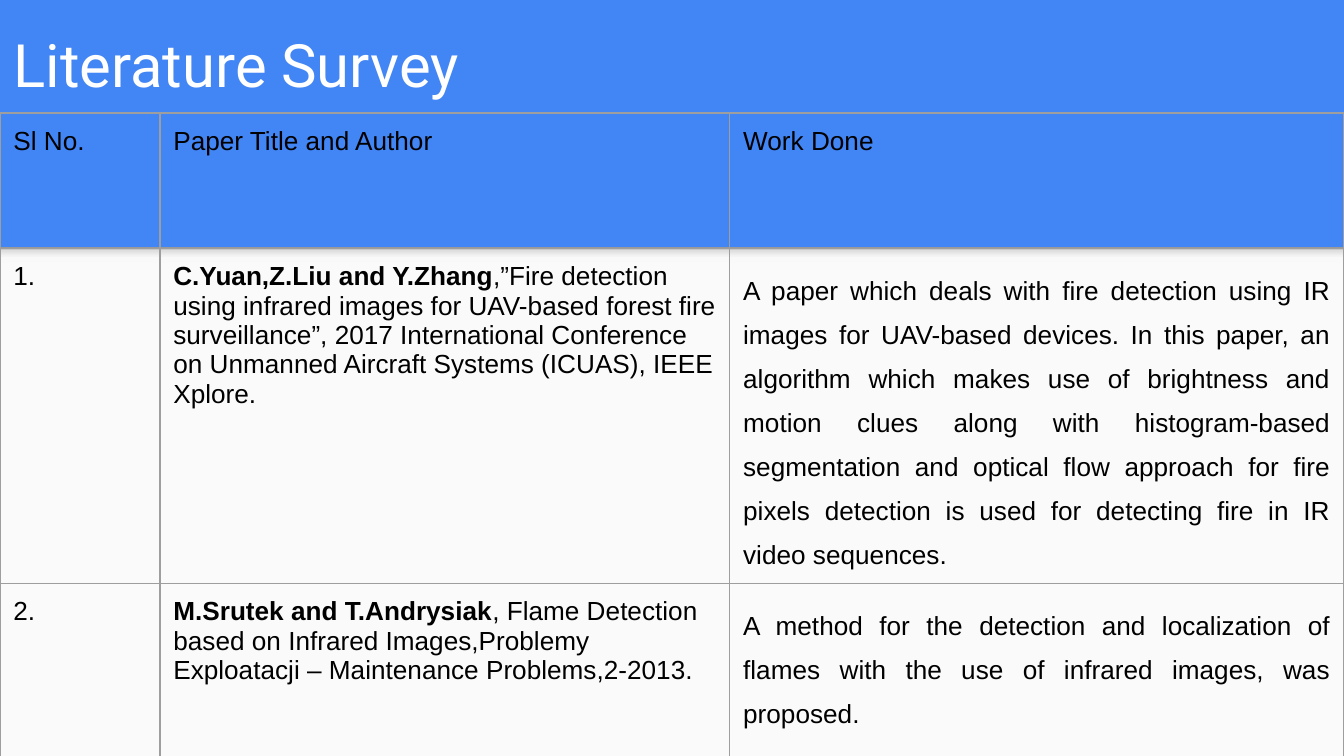
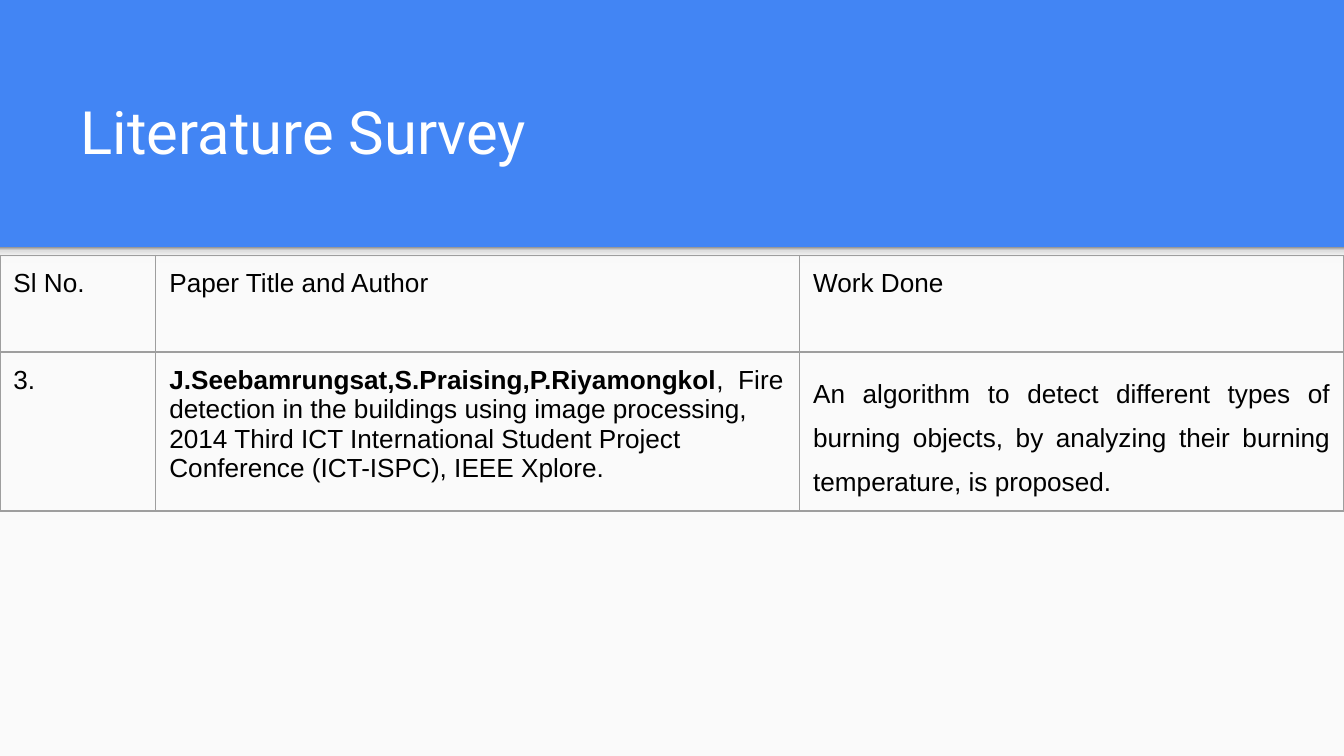
"""Build the two literature survey slides."""
from lxml import etree
from pptx import Presentation
from pptx.dml.color import RGBColor
from pptx.enum.shapes import MSO_SHAPE
from pptx.enum.text import MSO_ANCHOR, MSO_AUTO_SIZE, PP_ALIGN
from pptx.oxml.ns import qn
from pptx.util import Inches, Pt

RECT = MSO_SHAPE.RECTANGLE
BOTTOM, NO_FIT = MSO_ANCHOR.BOTTOM, MSO_AUTO_SIZE.NONE
LEFT, JUST = PP_ALIGN.LEFT, PP_ALIGN.JUSTIFY
BLUE, PALE, GREY = "4285F4", "FAFAFA", "9E9E9E"
BLACK, WHITE = "000000", "FFFFFF"
FADE = [(0, "F9F9F9"), (36, "F9F9F9"), (80, "DEDEDE"), (100, "999999")]
WIDE = 10
HIGH = WIDE * 9 / 16
BAND = 1.84
PAD = {"margin_" + side: Inches(0.1) for side in ("left", "top", "right", "bottom")}
HEAD = ["Sl No.", "Paper Title and Author", "Work Done"]

PAGES = [
    {
        "title": (0, 0, 8.99, 0.84),
        "spot": (0, 0.84),
        "cols": [1.19, 4.24, 4.57],
        "tall": [1.01, 1.86, 1.73],
        "rows": [
            ("1.", "C.Yuan,Z.Liu and Y.Zhang",
             ",”Fire detection using infrared images for UAV-based forest fire "
             "surveillance”, 2017 International Conference on Unmanned Aircraft "
             "Systems (ICUAS), IEEE Xplore.",
             "A paper which deals with fire detection using IR images for UAV-based "
             "devices. In this paper, an algorithm which makes use of brightness and "
             "motion clues along with histogram-based segmentation and optical flow "
             "approach for fire pixels detection is used for detecting fire in IR "
             "video sequences."),
            ("2.", "M.Srutek and T.Andrysiak",
             ", Flame Detection based on Infrared Images,Problemy Exploatacji – "
             "Maintenance Problems,2-2013.",
             "A method for the detection and localization of flames with the use of "
             "infrared images, was proposed."),
        ],
    },
    {
        "title": (0.5, 0.5, 8.99, 0.84),
        "spot": (0, 1.9),
        "cols": [1.16, 4.79, 4.05],
        "tall": [0.72, 0.74],
        "rows": [
            ("3.", "J.Seebamrungsat,S.Praising,P.Riyamongkol",
             ",  Fire detection in the buildings using image processing, 2014 Third "
             "ICT International Student Project Conference (ICT-ISPC), IEEE Xplore.",
             "An algorithm to detect different types of burning objects, by analyzing "
             "their burning temperature, is proposed."),
        ],
    },
]


def tint(color, code):
    """Set a colour from a hex string."""
    color.rgb = RGBColor.from_string(code)


def style(item, form):
    """Set attributes from a dict of format values."""
    for name, value in form.items():
        setattr(item, name, value)


def place(shape, box):
    """Move a shape to a box in inches."""
    style(shape, dict(zip(("left", "top", "width", "height"), map(Inches, box))))


def write(par, text, face, size, code, bold=False):
    """Add a formatted run to a paragraph."""
    run = par.add_run()
    run.text = text
    style(run.font, {"name": face, "size": Pt(size), "bold": bold})
    tint(run.font.color, code)


def paint(fill, code):
    """Fill with one solid colour."""
    fill.solid()
    tint(fill.fore_color, code)


def fade(shape, stops):
    """Fill a shape with an upward gradient of the given stops."""
    shape.fill.gradient()
    shape.fill.gradient_angle = 90
    group = shape.element.find(".//" + qn("a:gsLst"))
    for old in list(group):
        group.remove(old)
    for spot, code in stops:
        stop = etree.SubElement(group, qn("a:gs"), pos=str(spot * 1000))
        etree.SubElement(stop, qn("a:srgbClr"), val=code)


def panel(slide, layout, box):
    """Put a bare rectangle on the layout and return it."""
    shape = slide.shapes.add_shape(RECT, *map(Inches, box))
    shape.shadow.inherit = False
    shape.line.fill.background()
    layout.shapes.element.append(shape.element)
    return shape


def back(slide, layout):
    """Give the layout its blue ground, pale panel and soft edge."""
    paint(layout.background.fill, BLUE)
    paint(panel(slide, layout, (0, BAND, WIDE, HIGH - BAND)).fill, PALE)
    fade(panel(slide, layout, (0, BAND, WIDE, 0.12)), FADE)


def title(slide, box):
    """Fill the title placeholder within its box."""
    shape = slide.shapes.title
    place(shape, box)
    style(shape.text_frame, {**PAD, "vertical_anchor": BOTTOM,
                             "word_wrap": True, "auto_size": NO_FIT})
    par = shape.text_frame.paragraphs[0]
    par.alignment = LEFT
    write(par, "Literature Survey", "Roboto", 32, WHITE)


def edge(cell):
    """Draw thin grey borders around a clear cell."""
    props = cell._tc.get_or_add_tcPr()
    for side in "LRTB":
        line = etree.SubElement(props, qn("a:ln" + side), w=str(Pt(0.75)))
        solid = etree.SubElement(line, qn("a:solidFill"))
        etree.SubElement(solid, qn("a:srgbClr"), val=GREY)
    cell.fill.background()


def survey(slide, spot, cols, tall, rows):
    """Lay out the survey table from its top left corner."""
    box = (*spot, sum(cols), sum(tall))
    grid = slide.shapes.add_table(len(tall), len(cols), *map(Inches, box)).table
    style(grid, {"first_row": False, "horz_banding": False})
    for col, width in zip(grid.columns, cols):
        col.width = Inches(width)
    for row, height in zip(grid.rows, tall):
        row.height = Inches(height)
    lines = [[[(text, False)] for text in HEAD]]
    for mark, names, paper, work in rows:
        lines.append([[(mark, False)], [(names, True), (paper, False)], [(work, False)]])
    for down, line in enumerate(lines):
        for over, parts in enumerate(line):
            cell = grid.cell(down, over)
            style(cell, PAD)
            edge(cell)
            par = cell.text_frame.paragraphs[0]
            if down and over == 2:
                style(par, {"alignment": JUST, "line_spacing": 1.5})
            for text, bold in parts:
                write(par, text, "Arial", 14, BLACK, bold)


def main():
    """Build and save the deck."""
    deck = Presentation()
    style(deck, {"slide_width": Inches(WIDE), "slide_height": Inches(HIGH)})
    layout = deck.slide_layouts[5]
    for count, page in enumerate(PAGES):
        slide = deck.slides.add_slide(layout)
        if count == 0:
            back(slide, layout)
        title(slide, page["title"])
        survey(slide, page["spot"], page["cols"], page["tall"], page["rows"])
    deck.save("out.pptx")


if __name__ == "__main__":
    main()
